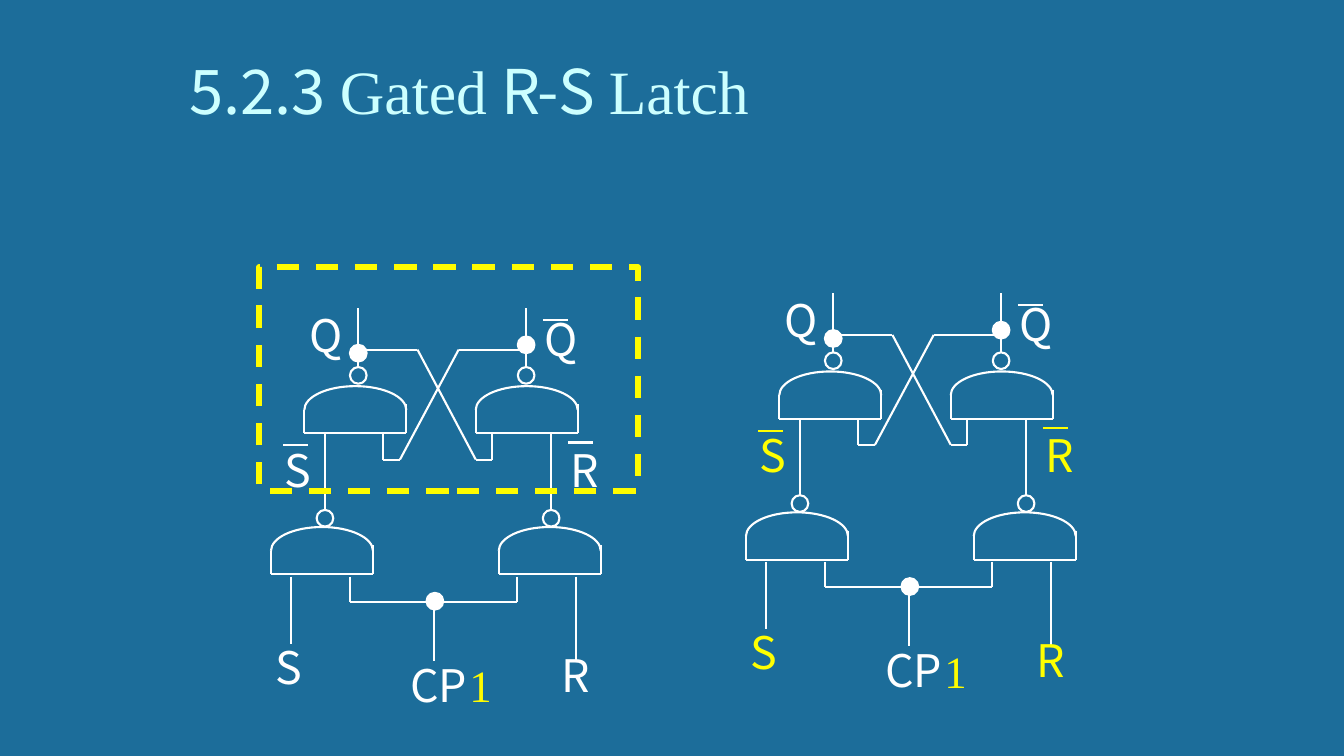
from lxml import etree
from pptx import Presentation
from pptx import util as u
from pptx.dml.color import RGBColor
from pptx.enum import dml, shapes, text
from pptx.oxml.ns import qn

# Colours and fonts
BACKGROUND = RGBColor(0x1C, 0x6D, 0x9A)
WHITE = RGBColor(0xFF, 0xFF, 0xFF)
YELLOW = RGBColor(0xFF, 0xFF, 0x00)
GOLD = RGBColor(0xFF, 0xFC, 0x00)
PALE = RGBColor(0xCC, 0xFF, 0xFF)
SANS, SERIF = "Noto Sans CJK SC", "Times New Roman"

# Content: all lengths in cm, circuit parts relative to the latch origin
TITLE = [("5.2.3 ", SANS), ("Gated", SERIF), (" R-S ", SANS), ("Latch", SERIF)]
LATCHES = [((6.6, 7.6), WHITE), ((18.57, 7.23), YELLOW)]  # origin, input colour
CORE_FRAME = (6.53, 6.73, 9.55, 5.64)
GATE_WIDTH, GATE_HEIGHT, DOME, RIGHT_SIDE_TOP = 2.57, 1.19, 0.6, 0.46
GATES = [(1.07, 2.13), (5.39, 2.13), (0.23, 5.68), (5.97, 5.68)]
DIAMETER = 0.42
BUBBLES = [(2.43, 1.86), (6.66, 1.86), (1.59, 5.46), (7.29, 5.46)]
JUNCTIONS = [(2.43, 1.3), (6.66, 1.09), (4.36, 7.55)]
WIRES = [
    [(2.43, 1.65), (2.43, 0.16)],  # Q output
    [(6.66, 1.65), (6.66, 0.16)],  # inverted Q output
    [(2.43, 1.21), (3.92, 1.21), (5.39, 3.98), (5.8, 3.98)],  # Q feedback
    [(5.8, 3.34), (5.8, 3.98)],
    [(6.66, 1.21), (4.96, 1.21), (3.48, 3.98)],  # inverted Q feedback
    [(3.06, 3.34), (3.06, 3.98), (3.48, 3.98)],
    [(1.59, 5.25), (1.59, 3.34)],  # inverted S
    [(7.29, 3.34), (7.29, 3.98)],  # inverted R
    [(7.29, 5.25), (7.29, 3.76)],
    [(2.22, 6.93), (2.22, 7.56), (6.44, 7.56)],  # clock rail
    [(6.44, 6.93), (6.44, 7.56)],
    [(4.33, 7.56), (4.33, 9.05)],  # CP input
    [(0.74, 6.93), (0.74, 7.56)],  # S input
    [(0.74, 7.36), (0.74, 8.63)],
    [(7.92, 6.93), (7.92, 7.56)],  # R input
    [(7.92, 7.36), (7.92, 9.05)],
]
# text, left, top, width, font, colour (None means the latch's input colour)
LABELS = [
    ("Q", 6.87, 0.13, 1.09, SANS, WHITE),
    ("Q", 0.94, 0.02, 1.09, SANS, WHITE),
    ("S", 0.1, 8.39, 1.09, SANS, None),
    ("R", 7.29, 8.6, 1.09, SANS, None),
    ("CP", 3.49, 8.84, 2.31, SANS, WHITE),
    ("S", 0.31, 3.42, 2.74, SANS, None),
    ("R", 7.52, 3.42, 1.09, SANS, None),
    ("1", 4.98, 8.86, 1.09, SERIF, GOLD),
]
BAR_WIDTH = 0.63
BARS = [(7.71, 3.55, None), (7.08, 0.46, WHITE), (0.54, 3.62, None)]

deck = Presentation()
deck.slide_width, deck.slide_height = u.Cm(33.87), u.Cm(19.05)
page = deck.slides.add_slide(deck.slide_layouts[6])
page.background.fill.solid()
page.background.fill.fore_color.rgb = BACKGROUND


def outline(shape, color=WHITE, width=1.5, filled=False):
    shape.shadow.inherit = False
    shape.line.color.rgb = color
    shape.line.width = u.Pt(width)
    if filled:
        shape.fill.solid()
        shape.fill.fore_color.rgb = color
    else:
        shape.fill.background()


def add_wire(points, color=WHITE):
    for start, end in zip(points, points[1:]):
        wire = page.shapes.add_connector(
            shapes.MSO_CONNECTOR.STRAIGHT, *(u.Cm(v) for v in start + end))
        wire.line.color.rgb = color
        wire.line.width = u.Pt(1.5)
        etree.SubElement(wire._element.spPr, qn("a:effectLst"))


def add_circle(x, y, filled):
    radius = DIAMETER / 2
    circle = page.shapes.add_shape(
        shapes.MSO_SHAPE.OVAL, u.Cm(x - radius), u.Cm(y - radius),
        u.Cm(DIAMETER), u.Cm(DIAMETER))
    outline(circle, filled=filled)


def add_dome(x, y):
    """Half ellipse bulging right, turned so that it bulges upwards."""
    wide, tall = u.Cm(DOME), u.Cm(GATE_WIDTH)
    left = u.Cm(x + (GATE_WIDTH - DOME) / 2)
    top = u.Cm(y - (GATE_WIDTH - DOME) / 2)
    builder = page.shapes.build_freeform(0, 0)
    builder.add_line_segments([(wide, tall // 2), (0, tall)], close=False)
    dome = builder.convert_to_shape(left, top)
    curves = [[(0.55, 0), (1, 0.22), (1, 0.5)], [(1, 0.78), (0.55, 1), (0, 1)]]
    for segment, curve in zip(list(dome._element.iter(qn("a:lnTo"))), curves):
        segment.tag = qn("a:cubicBezTo")
        segment.remove(segment[0])
        for across, down in curve:
            etree.SubElement(segment, qn("a:pt"), x=str(round(across * wide)),
                             y=str(round(down * tall)))
    dome.rotation = 270
    outline(dome)


def add_gate(x, y):
    right, base = x + GATE_WIDTH, y + GATE_HEIGHT
    add_dome(x, y)
    add_wire([(x, y + DOME), (x, base)])
    add_wire([(right, y + RIGHT_SIDE_TOP), (right, base)])
    add_wire([(x, base), (right, base)])


def add_text(spans, left, top, width, height, size, color, wrap):
    box = page.shapes.add_textbox(u.Cm(left), u.Cm(top), u.Cm(width), u.Cm(height))
    frame = box.text_frame
    frame.word_wrap = wrap
    frame.auto_size = text.MSO_AUTO_SIZE.SHAPE_TO_FIT_TEXT
    for words, font in spans:
        span = frame.paragraphs[0].add_run()
        span.text = words
        span.font.name, span.font.size = font, u.Pt(size)
        span.font.color.rgb = color
    return frame


# Both latches
for (left, top), input_color in LATCHES:
    for chain in WIRES:
        add_wire([(left + x, top + y) for x, y in chain])
    for x, y in BUBBLES:
        add_circle(left + x, top + y, False)
    for words, x, y, width, font, color in LABELS:
        add_text([(words, font)], left + x, top + y, width, 1.62, 32,
                 color or input_color, width > 2)
    for x, y, color in BARS:
        add_wire([(left + x, top + y), (left + x + BAR_WIDTH, top + y)],
                 color or input_color)
    for x, y in JUNCTIONS:
        add_circle(left + x, top + y, True)
    for x, y in GATES:
        add_gate(left + x, top + y)

# Dashed frame around the basic latch
core = page.shapes.add_shape(
    shapes.MSO_SHAPE.RECTANGLE, *(u.Cm(v) for v in CORE_FRAME))
outline(core, GOLD, 4)
core.line.dash_style = dml.MSO_LINE.DASH

# Title
title = add_text(TITLE, 4.52, 1.19, 24.77, 2.13, 44, PALE, True)
title.vertical_anchor = text.MSO_ANCHOR.BOTTOM

deck.save("out.pptx")
